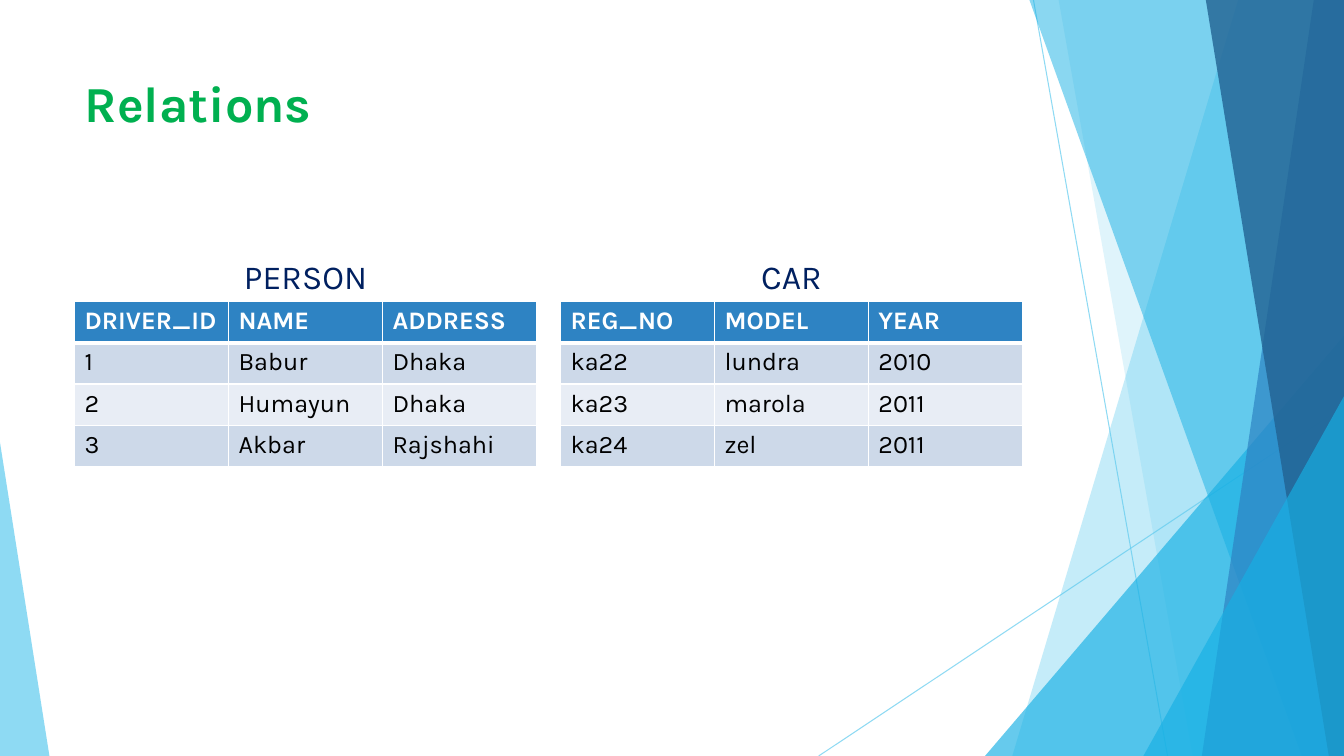
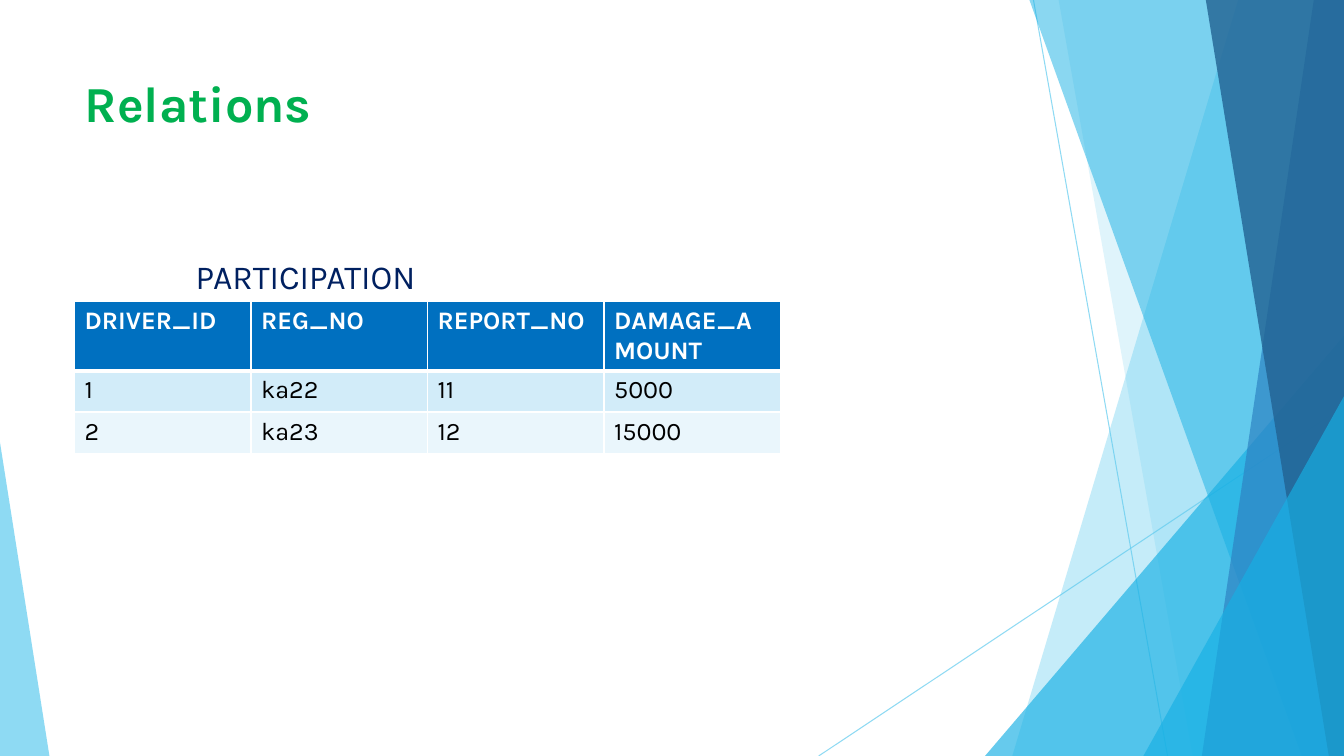
import pptx
import pptx.util
import pptx.dml.color
import pptx.enum.shapes
import pptx.enum.text
import pptx.oxml
import pptx.oxml.ns

Inches = pptx.util.Inches
Pt = pptx.util.Pt
ALIGN = pptx.enum.text.PP_ALIGN
ANCHOR = pptx.enum.text.MSO_ANCHOR
qn = pptx.oxml.ns.qn

# Shared sizes and colours
WIDE, HIGH = 13.33, 7.5
LEFT, TOP, GAP = 0.74, 2.36, 0.24
HALF, HEAD, ROW = 4.58, 0.63, 0.41
FONT = "Karla"
SKY, CYAN, BLUE, NAVY = "5FCBEF", "17B0E4", "2E83C3", "226292"
WHITE, BLACK, GREEN, INK = "FFFFFF", "000000", "00B050", "002060"
STEEL = (BLUE, "CDD9E9", "E8EDF5")
AQUA = ("0070C0", "D2ECF9", "EAF6FC")


def rgb(code):
    return pptx.dml.color.RGBColor.from_string(code)


def write(frame, text, size=18, color=BLACK, bold=False, align=ALIGN.LEFT,
          before=0, anchor=ANCHOR.TOP):
    frame.word_wrap = True
    frame.vertical_anchor = anchor
    frame.text = text
    par = frame.paragraphs[0]
    par.alignment = align
    par.space_before = Pt(before)
    font = par.runs[0].font
    font.name, font.size, font.bold = FONT, Pt(size), bold
    font.color.rgb = rgb(color)


def place(shape, box):
    shape.left, shape.top, shape.width, shape.height = map(Inches, box)


# Facets behind every slide
def tint(fill, color, alpha):
    fill.solid()
    fill.fore_color.rgb = rgb(color)
    node = next(fill._xPr.iter(qn("a:srgbClr")))
    node.append(pptx.oxml.parse_xml(
        f'<a:alpha {pptx.oxml.ns.nsdecls("a")} val="{alpha * 1000}"/>'))


def finish(shape, color, alpha):
    shape.shadow.inherit = False
    shape.line.fill.background()
    tint(shape.fill, color, alpha)


def add_line(group, start, end):
    line = group.shapes.add_connector(
        pptx.enum.shapes.MSO_CONNECTOR.STRAIGHT, *map(Inches, start + end))
    line.line.width = Pt(0.75)
    tint(line.line.fill, SKY, 70)
    line.element.spPr.append(pptx.oxml.parse_xml(
        f'<a:effectLst {pptx.oxml.ns.nsdecls("a")}/>'))


def add_band(group, top, foot, color, alpha):
    """Fill from a slanted left edge to the right side of the slide."""
    pen = group.shapes.build_freeform(Inches(top), 0, scale=1.0)
    pen.add_line_segments(
        [(Inches(x), Inches(y))
         for x, y in ((WIDE, 0), (WIDE, HIGH), (foot, HIGH))], close=True)
    finish(pen.convert_to_shape(), color, alpha)


def add_peak(group, left, top, width, tip, color, alpha):
    """Stand a triangle on the foot of the slide."""
    peak = group.shapes.add_shape(
        pptx.enum.shapes.MSO_SHAPE.ISOSCELES_TRIANGLE,
        *map(Inches, (left, top, width, HIGH - top)))
    peak.adjustments[0] = tip
    finish(peak, color, alpha)


def add_facets(slide):
    group = slide.shapes.add_group_shape()
    add_line(group, (10.25, 0), (11.58, HIGH))
    add_line(group, (WIDE, 4.03), (8.12, HIGH))
    add_band(group, 12.28, 10.04, SKY, 36)
    add_band(group, 10.5, 11.83, SKY, 20)
    add_peak(group, 9.77, 3.33, 3.56, 1, CYAN, 66)
    add_band(group, 10.21, 12.91, CYAN, 50)
    add_band(group, 13.03, 11.92, BLUE, 70)
    add_band(group, 11.96, 13.18, NAVY, 80)
    add_peak(group, 11.34, 3.93, 1.99, 1, CYAN, 66)
    add_peak(group, 0, 4.39, 0.49, 0, SKY, 70)
    # The group moves to the layout, so all slides show it
    tree = slide.slide_layout.element.cSld.spTree
    tree.insert(2, group.element)
    for index, node in enumerate(tree.iter(qn("p:cNvPr")), 1):
        node.set("id", str(index))


# Tables
def set_edge(cell, row):
    props = cell._tc.get_or_add_tcPr()
    widths = {"L": 1, "R": 1, "T": 3 if row == 1 else 1,
              "B": 3 if row == 0 else 1}
    for side, width in widths.items():
        props.append(pptx.oxml.parse_xml(
            f'<a:ln{side} {pptx.oxml.ns.nsdecls("a")} w="{Pt(width)}">'
            f'<a:solidFill><a:srgbClr val="{WHITE}"/></a:solidFill>'
            f'</a:ln{side}>'))


def add_grid(slide, box, rows, tones, first):
    left, top, width = box
    count = len(rows[0])
    high = first + ROW * (len(rows) - 1)
    table = slide.shapes.add_table(
        len(rows), count, *map(Inches, (left, top, width, high))).table
    for col in table.columns:
        col.width = Inches(width / count)
    for r, row in enumerate(rows):
        table.rows[r].height = Inches(ROW if r else first)
        for c, text in enumerate(row):
            cell = table.cell(r, c)
            set_edge(cell, r)
            cell.fill.solid()
            cell.fill.fore_color.rgb = rgb(tones[2 - r % 2 if r else 0])
            write(cell.text_frame, text, bold=r == 0,
                  color=BLACK if r else WHITE)


def add_part(slide, holder, left, label, rows, width=HALF, tones=STEEL,
             first=ROW):
    """Place a label with its table below."""
    place(holder, (left, TOP, HALF, HEAD))
    holder.text_frame.auto_size = pptx.enum.text.MSO_AUTO_SIZE.NONE
    write(holder.text_frame, label, size=24, color=INK, align=ALIGN.CENTER,
          before=10, anchor=ANCHOR.BOTTOM)
    add_grid(slide, (left, TOP + HEAD, width), rows, tones, first)


# Slide with a title and up to two tables
def add_slide(deck, title, parts):
    slide = deck.slides.add_slide(deck.slide_layouts[4])
    place(slide.shapes.title, (LEFT, 0.67, 9.4, 1.44))
    slide.shapes.title.text_frame.auto_size = pptx.enum.text.MSO_AUTO_SIZE.NONE
    write(slide.shapes.title.text_frame, title, size=36, color=GREEN,
          bold=True)
    kind = pptx.enum.shapes.PP_PLACEHOLDER.BODY
    labels = [p for p in slide.placeholders
              if p.placeholder_format.type == kind]
    for index, part in enumerate(parts):
        add_part(slide, labels[index], LEFT + index * (HALF + GAP), **part)
    for spare in list(slide.placeholders):
        if not spare.text_frame.text:
            spare.element.getparent().remove(spare.element)
    return slide


PERSON = [("DRIVER_ID", "NAME", "ADDRESS"),
          ("1", "Babur", "Dhaka"),
          ("2", "Humayun", "Dhaka"),
          ("3", "Akbar", "Rajshahi")]
CAR = [("REG_NO", "MODEL", "YEAR"),
       ("ka22", "lundra", "2010"),
       ("ka23", "marola", "2011"),
       ("ka24", "zel", "2011")]
SHARE = [("DRIVER_ID", "REG_NO", "REPORT_NO", "DAMAGE_AMOUNT"),
         ("1", "ka22", "11", "5000"),
         ("2", "ka23", "12", "15000")]

deck = pptx.Presentation()
deck.slide_width, deck.slide_height = Inches(WIDE), Inches(HIGH)
opener = add_slide(deck, "Relations", [dict(label="PERSON", rows=PERSON),
                                       dict(label="CAR", rows=CAR)])
add_facets(opener)
add_slide(deck, "Relations", [dict(label="PARTICIPATION", rows=SHARE, width=7,
                                   tones=AQUA, first=0.52)])
deck.save("out.pptx")
